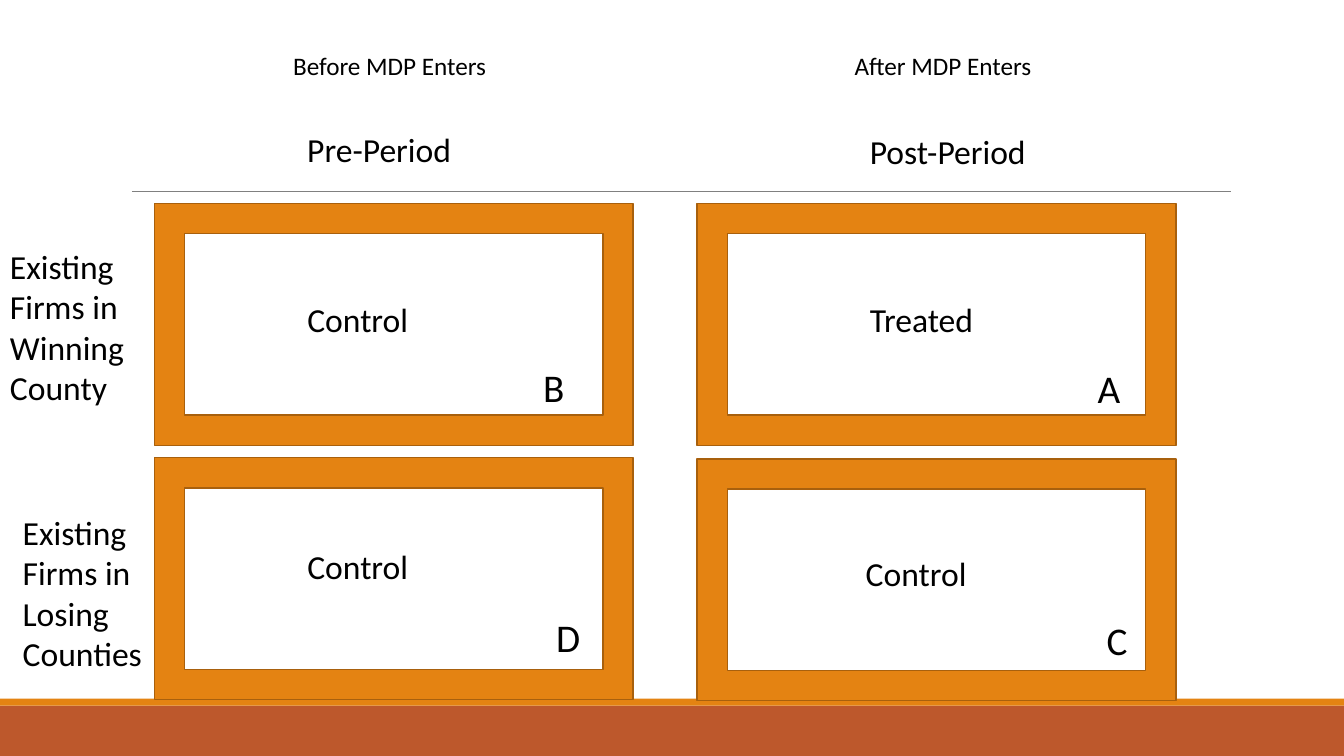
from pptx import Presentation
from pptx.dml.color import RGBColor
from pptx.enum.shapes import MSO_CONNECTOR, MSO_SHAPE
from pptx.oxml.ns import qn
from pptx.util import Pt
from lxml.etree import SubElement

FONT = "Calibri"
BLACK, GRAY = "000000", "808080"
ORANGE, DARK_ORANGE, RUST = "E48312", "A8600D", "BD582C"
SLIDE_WIDTH, SLIDE_HEIGHT = 960, 540
FOOTER_TOP, STRIPE_HEIGHT = 504, 5
FRAME_WIDTH, FRAME_HEIGHT = 342, 172.8
FRAME_LEFTS = (110.2, 498)
FRAME_TOPS = ((145.4, 145.4), (327, 327.8))
RULE = (94.3, 879.1, 136.8)

TEXTS = {
    18: [
        ("Before MDP Enters", 202.3, 32.4, 200, 29),
        ("After MDP Enters", 603.4, 32.4, 216, 29),
    ],
    24: [
        ("Pre-Period", 212.4, 88.6, 307, 36),
        ("Post-Period", 614.2, 90, 264, 36),
        ("Existing Firms in Winning County", 0, 172.1, 102.2, 122),
        ("Existing Firms in Losing Counties", 9.1, 362.2, 101.8, 122),
        ("Control", 212.4, 210, 110, 36),
        ("Treated", 614.2, 210, 162, 36),
        ("Control", 212.4, 386.6, 110, 36),
        ("Control", 611.3, 391.7, 114, 36),
    ],
    28: [
        ("B", 380.9, 255.6, 55.4, 40),
        ("A", 776.9, 256.3, 55.4, 40),
        ("D", 390.2, 434.5, 55.4, 40),
        ("C", 783.4, 436.3, 55.4, 40),
    ],
}


def color(value):
    return RGBColor.from_string(value)


def add_block(slide, kind, left, top, width, height, fill, line=None):
    shape = slide.shapes.add_shape(kind, Pt(left), Pt(top), Pt(width), Pt(height))
    shape.shadow.inherit = False
    shape.fill.solid()
    shape.fill.fore_color.rgb = color(fill)
    if line:
        shape.line.color.rgb = color(line)
        shape.line.width = Pt(1)
    else:
        shape.line.fill.background()
    return shape


def add_rule(slide, start, end, top):
    connector = slide.shapes.add_connector(
        MSO_CONNECTOR.STRAIGHT, Pt(start), Pt(top), Pt(end), Pt(top))
    connector.line.color.rgb = color(GRAY)
    connector.line.width = Pt(0.5)
    SubElement(connector._element.spPr, qn("a:effectLst"))


def add_text(slide, text, left, top, width, height, size):
    box = slide.shapes.add_textbox(Pt(left), Pt(top), Pt(width), Pt(height))
    box.text_frame.word_wrap = True
    box.text_frame.text = text
    font = box.text_frame.paragraphs[0].runs[0].font
    font.name = FONT
    font.size = Pt(size)
    font.color.rgb = color(BLACK)


def main():
    presentation = Presentation()
    presentation.slide_width = Pt(SLIDE_WIDTH)
    presentation.slide_height = Pt(SLIDE_HEIGHT)
    slide = presentation.slides.add_slide(presentation.slide_layouts[6])

    add_block(slide, MSO_SHAPE.RECTANGLE, 0, FOOTER_TOP, SLIDE_WIDTH,
              SLIDE_HEIGHT - FOOTER_TOP, RUST)
    add_block(slide, MSO_SHAPE.RECTANGLE, 0, FOOTER_TOP - STRIPE_HEIGHT,
              SLIDE_WIDTH, STRIPE_HEIGHT, ORANGE)
    add_rule(slide, *RULE)

    for row_tops in FRAME_TOPS:
        for left, top in zip(FRAME_LEFTS, row_tops):
            frame = add_block(slide, MSO_SHAPE.FRAME, left, top, FRAME_WIDTH,
                              FRAME_HEIGHT, ORANGE, DARK_ORANGE)
            frame.adjustments[0] = 0.125

    for size, entries in TEXTS.items():
        for entry in entries:
            add_text(slide, *entry, size)

    presentation.save("out.pptx")


if __name__ == "__main__":
    main()
